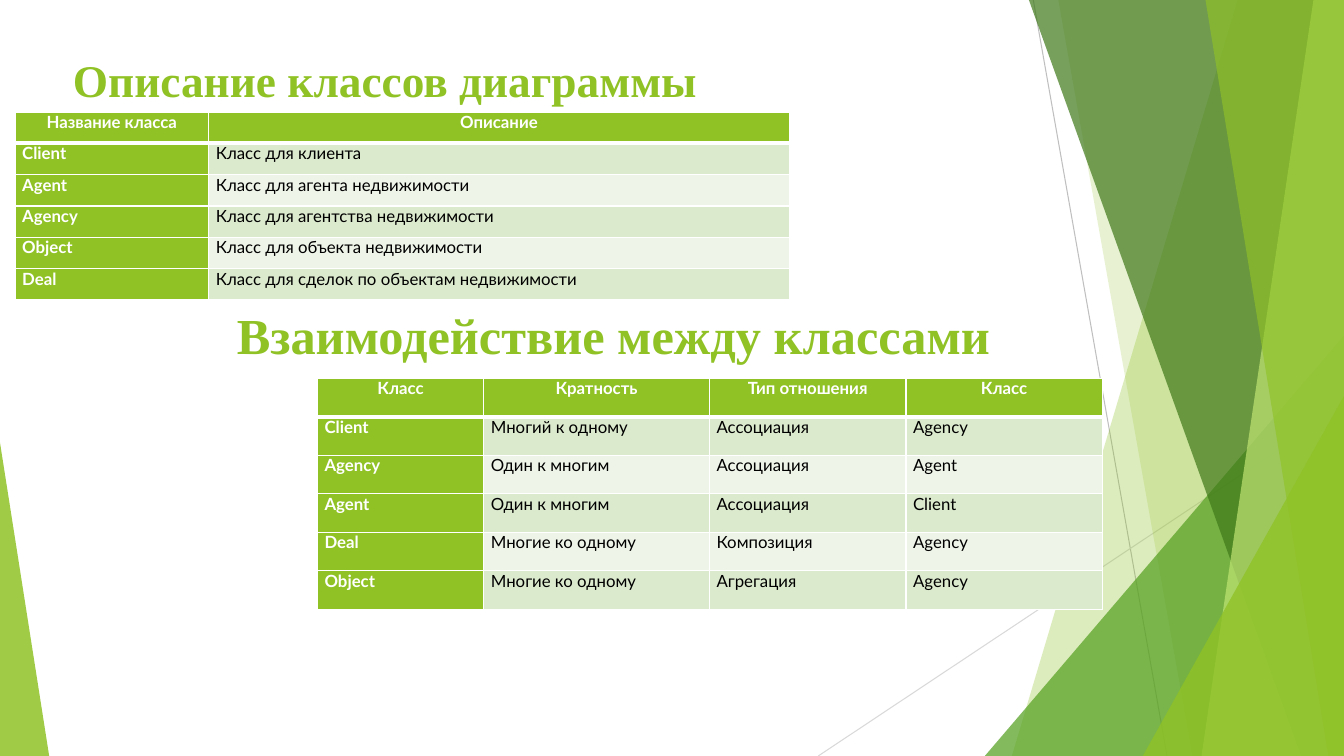
import pptx
import pptx.dml.color
import pptx.enum.shapes
import pptx.enum.text
import pptx.oxml
import pptx.oxml.ns
import pptx.util
from lxml import etree

Cm = pptx.util.Cm
RGBColor = pptx.dml.color.RGBColor
Align = pptx.enum.text.PP_ALIGN
Anchor = pptx.enum.text.MSO_ANCHOR
qn = pptx.oxml.ns.qn

LIME = RGBColor(0x90, 0xC2, 0x26)
PALE_LIME = RGBColor(0xC0, 0xE4, 0x74)
GREEN = RGBColor(0x54, 0xA0, 0x21)
DARK_GREEN = RGBColor(0x3F, 0x78, 0x19)
BAND_DARK = RGBColor(0xDB, 0xE9, 0xCD)
BAND_LIGHT = RGBColor(0xEE, 0xF4, 0xE8)
GRAY = RGBColor(0xBF, 0xBF, 0xBF)
LIGHT_GRAY = RGBColor(0xD9, 0xD9, 0xD9)
WHITE = RGBColor(0xFF, 0xFF, 0xFF)
BLACK = RGBColor(0, 0, 0)

WIDTH, HEIGHT = 33.87, 19.05


def write_text(frame, text, *, size, font, color, bold=False, align=Align.CENTER):
    para = frame.paragraphs[0]
    para.alignment = align
    span = para.add_run()
    span.text = text
    span.font.size = pptx.util.Pt(size)
    span.font.name = font
    span.font.bold = bold
    span.font.color.rgb = color


class SlideBuilder:
    heading_font = "Times New Roman"
    table_font = "Lato"

    def __init__(self, page):
        self.page = page

    def line(self, start, end, color):
        line = self.page.shapes.add_connector(
            pptx.enum.shapes.MSO_CONNECTOR.STRAIGHT, *map(Cm, start + end))
        line.line.color.rgb = color
        line.line.width = pptx.util.Pt(0.75)
        etree.SubElement(line._element.spPr, qn("a:effectLst"))

    def paint(self, shape, color, opacity):
        shape.shadow.inherit = False
        shape.fill.solid()
        shape.fill.fore_color.rgb = color
        shape.line.fill.background()
        tint = shape._element.spPr.find(qn("a:solidFill"))[0]
        etree.SubElement(tint, qn("a:alpha"), val=str(opacity * 1000))

    def facet(self, top_x, bottom_x, color, opacity):
        """Fill from a slanted edge to the right side of the slide."""
        corners = [(top_x, 0), (WIDTH, 0), (WIDTH, HEIGHT), (bottom_x, HEIGHT)]
        points = [(Cm(x), Cm(y)) for x, y in corners]
        outline = self.page.shapes.build_freeform(*points[0])
        outline.add_line_segments(points[1:], close=True)
        self.paint(outline.convert_to_shape(), color, opacity)

    def triangle(self, left, top, width, apex, color, opacity):
        """Stand a triangle on the bottom edge of the slide."""
        shape = self.page.shapes.add_shape(
            pptx.enum.shapes.MSO_SHAPE.ISOSCELES_TRIANGLE,
            Cm(left), Cm(top), Cm(width), Cm(HEIGHT - top))
        shape.adjustments[0] = apex
        self.paint(shape, color, opacity)

    def heading(self, box, text, size, anchor):
        frame = box.text_frame
        frame.word_wrap = True
        frame.auto_size = pptx.enum.text.MSO_AUTO_SIZE.NONE
        frame.vertical_anchor = anchor
        write_text(frame, text, size=size, font=self.heading_font, color=LIME, bold=True)

    def title(self, left, top, width, height, text, size):
        box = self.page.shapes.title
        box.left, box.top, box.width, box.height = map(Cm, (left, top, width, height))
        self.heading(box, text, size, Anchor.BOTTOM)

    def subtitle(self, left, top, width, height, text, size):
        box = self.page.shapes.add_textbox(*map(Cm, (left, top, width, height)))
        self.heading(box, text, size, Anchor.TOP)

    def cell_borders(self, cell, top, bottom):
        props = cell._tc.get_or_add_tcPr()
        for side, points in (("L", 1), ("R", 1), ("T", top), ("B", bottom)):
            edge = etree.SubElement(props, qn("a:ln" + side), w=str(pptx.util.Pt(points)))
            fill = etree.SubElement(edge, qn("a:solidFill"))
            etree.SubElement(fill, qn("a:srgbClr"), val=str(WHITE))

    def table(self, left, top, widths, row_height, rows):
        table = self.page.shapes.add_table(
            len(rows), len(widths), Cm(left), Cm(top),
            Cm(sum(widths)), Cm(row_height * len(rows))).table
        for column, width in zip(table.columns, widths):
            column.width = Cm(width)
        for r, row in enumerate(rows):
            table.rows[r].height = Cm(row_height)
            for c, text in enumerate(row):
                cell = table.cell(r, c)
                cell.margin_left = cell.margin_right = Cm(0.18)
                cell.margin_top = cell.margin_bottom = 0
                cell.vertical_anchor = Anchor.TOP
                self.cell_borders(cell, 3 if r == 1 else 1, 3 if r == 0 else 1)
                label = r == 0 or c == 0
                band = BAND_DARK if r % 2 else BAND_LIGHT
                cell.fill.solid()
                cell.fill.fore_color.rgb = LIME if label else band
                write_text(cell.text_frame, text, size=12, font=self.table_font,
                           color=WHITE if label else BLACK, bold=label,
                           align=Align.JUSTIFY if r else Align.CENTER)


CLASSES = [
    ("Название класса", "Описание"),
    ("Client", "Класс для клиента"),
    ("Agent", "Класс для агента недвижимости"),
    ("Agency", "Класс для агентства недвижимости"),
    ("Object", "Класс для объекта недвижимости"),
    ("Deal", "Класс для сделок по объектам недвижимости"),
]
RELATIONS = [
    ("Класс", "Кратность", "Тип отношения", "Класс"),
    ("Client", "Многий к одному", "Ассоциация", "Agency"),
    ("Agency", "Один к многим", "Ассоциация", "Agent"),
    ("Agent", "Один к многим", "Ассоциация", "Client"),
    ("Deal", "Многие ко одному", "Композиция", "Agency"),
    ("Object", "Многие ко одному", "Агрегация", "Agency"),
]


def main():
    deck = pptx.Presentation()
    deck.slide_width, deck.slide_height = Cm(WIDTH), Cm(HEIGHT)
    builder = SlideBuilder(deck.slides.add_slide(deck.slide_layouts[5]))

    # Faceted background
    builder.line((26.04, 0), (29.41, HEIGHT), GRAY)
    builder.line((WIDTH, 10.24), (20.62, HEIGHT), LIGHT_GRAY)
    builder.facet(31.19, 25.5, LIME, 30)
    builder.facet(26.67, 30.05, LIME, 20)
    builder.triangle(24.82, 8.46, 9.05, 1, GREEN, 72)
    builder.facet(25.93, 32.79, DARK_GREEN, 70)
    builder.facet(33.1, 30.28, PALE_LIME, 70)
    builder.facet(30.38, 33.48, LIME, 65)
    builder.triangle(28.8, 9.98, 5.07, 1, LIME, 80)
    builder.triangle(0, 11.15, 1.24, 0, LIME, 85)

    # Class descriptions
    builder.title(0.38, 1.07, 18.64, 1.75, "Описание классов диаграммы", 32.4)
    builder.table(0.38, 2.82, (4.88, 14.63), 0.79, CLASSES)

    # Class relations
    builder.table(8, 9.53, (4.19, 5.69, 4.95, 4.95), 0.97, RELATIONS)
    builder.subtitle(5.38, 7.54, 20.17, 2.72, "Взаимодействие между классами", 36)

    deck.save("out.pptx")


if __name__ == "__main__":
    main()
